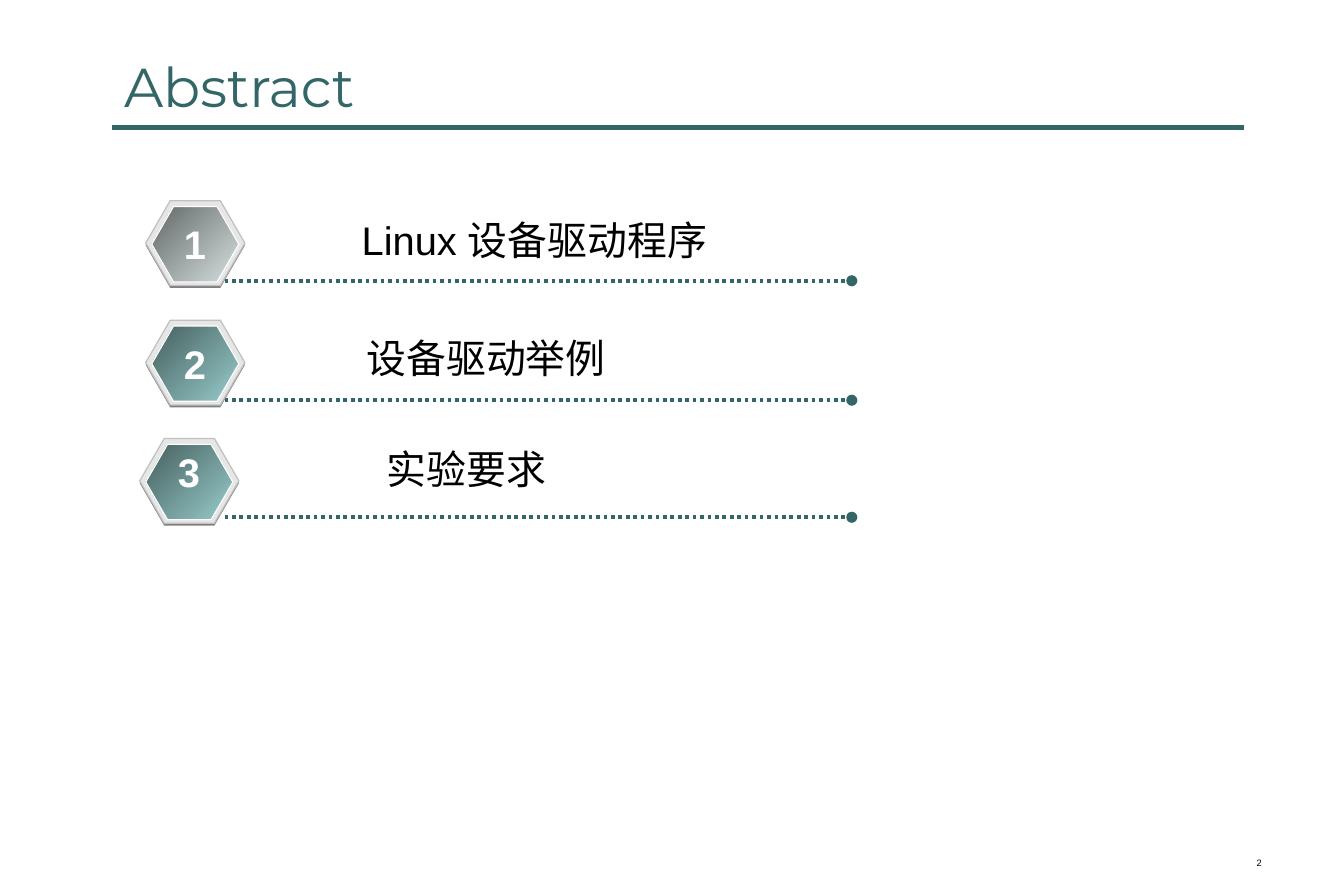
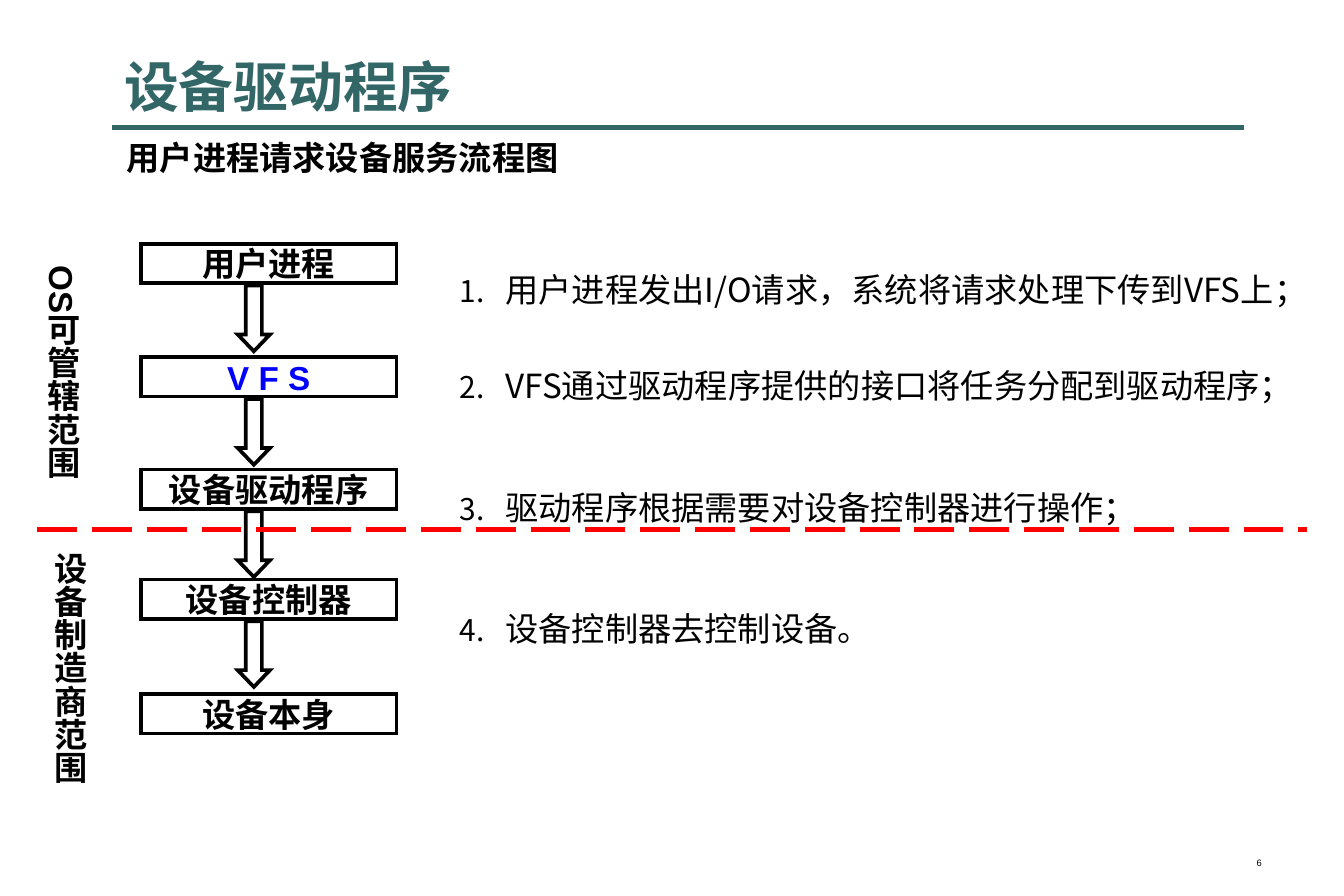
from lxml import etree
from pptx import Presentation
from pptx.dml.color import RGBColor
from pptx.enum.dml import MSO_LINE
from pptx.enum.shapes import MSO_CONNECTOR, MSO_SHAPE
from pptx.enum.text import MSO_ANCHOR, PP_ALIGN
from pptx.oxml.ns import qn
from pptx.util import Inches, Pt

HEXAGON, RECTANGLE, ARROW = MSO_SHAPE.HEXAGON, MSO_SHAPE.RECTANGLE, MSO_SHAPE.DOWN_ARROW
STRAIGHT = MSO_CONNECTOR.STRAIGHT
DOTS, DASHES = MSO_LINE.ROUND_DOT, MSO_LINE.LONG_DASH
LEFT, CENTER = PP_ALIGN.LEFT, PP_ALIGN.CENTER
TOP, MIDDLE, BOTTOM = MSO_ANCHOR.TOP, MSO_ANCHOR.MIDDLE, MSO_ANCHOR.BOTTOM

TEAL, BLACK, WHITE, BLUE, RED = "336666", "000000", "FFFFFF", "0000FF", "FF0000"
BODY_FONT, TITLE_FONT, LIST_FONT = "Arial", "Montserrat", "Noto Sans CJK SC"
WIDTH, HEIGHT = 11.25, 7.5
MARGIN, CONTENT_WIDTH = 0.94, 9.47

deck = Presentation()
deck.slide_width, deck.slide_height = Inches(WIDTH), Inches(HEIGHT)


def write(shape, text, size, color=BLACK, font=BODY_FONT, bold=False,
          align=LEFT, anchor=TOP, inset=(0, 0), wrap=True):
    """Fill a shape with one paragraph per line of text; inset is (side, top) in inches."""
    frame = shape.text_frame
    frame.text = text
    frame.word_wrap = wrap
    frame.vertical_anchor = anchor
    frame.margin_left = frame.margin_right = Inches(inset[0])
    frame.margin_top = frame.margin_bottom = Inches(inset[1])
    for para in frame.paragraphs:
        para.alignment = align
        for span in para.runs:
            span.font.name, span.font.size, span.font.bold = font, Pt(size), bold
            span.font.color.rgb = RGBColor.from_string(color)
    return frame


def draw_line(page, left, right, y, color, width, dash=None):
    line = page.shapes.add_connector(STRAIGHT, *map(Inches, (left, y, right, y)))
    line.line.color.rgb = RGBColor.from_string(color)
    line.line.width = Pt(width)
    if dash:
        line.line.dash_style = dash
    etree.SubElement(line._element.spPr, qn("a:effectLst"))
    return line


# Shared frame: rule, page number and title
pages = []
for title, number, bold in [("Abstract", "2", False), ("设备驱动程序", "6", True)]:
    page = deck.slides.add_slide(deck.slide_layouts[6])
    draw_line(page, MARGIN, MARGIN + CONTENT_WIDTH, 1.07, TEAL, 3)
    box = page.shapes.add_textbox(*map(Inches, (9.83, 7.13, 1.42, 0.21)))
    write(box, number, 5.6, align=CENTER, inset=(0.1, 0.05))
    box = page.shapes.add_textbox(*map(Inches, (MARGIN, 0.28, CONTENT_WIDTH, 0.76)))
    write(box, title, 33, TEAL, TITLE_FONT, bold, anchor=BOTTOM, inset=(0.1, 0.05))
    pages.append(page)
abstract, drivers = pages

# Abstract: numbered hexagons with dotted rules
GRAY_GRADIENT, TEAL_GRADIENT = ("D6E0E0", "636868"), ("97CDCC", "465F5E")
topics = [
    # text, text box, hexagon left, hexagon top, number top, rule, gradient
    ("Linux 设备驱动程序", (2.93, 1.76, 3.17, 0.5), 1.22, 1.68, 1.79, 2.35, GRAY_GRADIENT),
    ("设备驱动举例", (2.97, 2.74, 2.2, 0.5), 1.22, 2.68, 2.79, 3.35, TEAL_GRADIENT),
    ("实验要求", (3.14, 3.67, 1.53, 0.5), 1.17, 3.67, 3.7, 4.33, TEAL_GRADIENT),
]
for number, topic in enumerate(topics, 1):
    text, text_place, left, top, number_top, rule, gradient = topic
    line = draw_line(abstract, 1.88, 7.13, rule, TEAL, 2.25, DOTS)
    etree.SubElement(line.line._get_or_add_ln(), qn("a:tailEnd"), type="oval")
    layers = [
        (0, 0.02, 0.83, 0.71, "808080", None),
        (0, 0, 0.83, 0.71, "E6E6E6", "C0C0C0"),
        (0.05, 0.05, 0.73, 0.63, None, WHITE),
    ]
    for dx, dy, width, height, fill, outline in layers:
        hexagon = abstract.shapes.add_shape(
            HEXAGON, *map(Inches, (left + dx, top + dy, width, height)))
        hexagon.shadow.inherit = False
        hexagon.adjustments[0], hexagon.adjustments[1] = 0.289, 1.155
        if fill:
            hexagon.fill.solid()
            hexagon.fill.fore_color.rgb = RGBColor.from_string(fill)
        else:
            hexagon.fill.gradient()
            hexagon.fill.gradient_angle = 135
            for position, (stop, color) in enumerate(zip(hexagon.fill.gradient_stops, gradient)):
                stop.position = position
                stop.color.rgb = RGBColor.from_string(color)
        if outline:
            hexagon.line.color.rgb = RGBColor.from_string(outline)
            hexagon.line.width = Pt(0.75)
        else:
            hexagon.line.fill.background()
    box = abstract.shapes.add_textbox(*map(Inches, text_place))
    write(box, text, 24, inset=(0.1, 0.05), wrap=False)
    box = abstract.shapes.add_textbox(*map(Inches, (left + 0.22, number_top, 0.38, 0.5)))
    write(box, str(number), 24, WHITE, bold=True, align=CENTER, inset=(0.1, 0.05), wrap=False)

# Drivers: chain of boxes and block arrows
stages = [
    ("用户进程", 2.04, BLACK),
    ("V F S", 2.99, BLUE),
    ("设备驱动程序", 3.93, BLACK),
    ("设备控制器", 4.85, BLACK),
    ("设备本身", 5.81, BLACK),
]
outlined = []
for text, top, color in stages:
    stage = drivers.shapes.add_shape(RECTANGLE, *map(Inches, (1.18, top, 2.14, 0.33)))
    write(stage, text, 20, color, bold=True, align=CENTER, anchor=MIDDLE)
    outlined.append(stage)
for text, top, color in stages[:-1]:
    arrow = drivers.shapes.add_shape(ARROW, *map(Inches, (1.99, top + 0.35, 0.27, 0.55)))
    arrow.adjustments[0], arrow.adjustments[1] = 0.5, 0.52
    outlined.append(arrow)
for shape in outlined:
    shape.shadow.inherit = False
    shape.fill.background()
    shape.line.color.rgb = RGBColor.from_string(BLACK)
    shape.line.width = Pt(2.25)
    etree.SubElement(shape.line._get_or_add_ln(), qn("a:miter"), lim="800000")

box = drivers.shapes.add_textbox(*map(Inches, (1.06, 1.15, 4.34, 0.33)))
write(box, "用户进程请求设备服务流程图", 20, bold=True)

# Drivers: numbered steps
steps = [
    ("用户进程发出I/O请求，系统将请求处理下传到VFS上；", 0),
    ("VFS通过驱动程序提供的接口将任务分配到驱动程序；", 34.4),
    ("驱动程序根据需要对设备控制器进行操作；", 49),
    ("设备控制器去控制设备。", 49),
]
box = drivers.shapes.add_textbox(*map(Inches, (3.85, 2.25, 6.95, 3.58)))
frame = write(box, "\n".join(text for text, gap in steps), 20, font=LIST_FONT)
for para, (text, gap) in zip(frame.paragraphs, steps):
    properties = para._p.get_or_add_pPr()
    properties.set("marL", str(Inches(0.38)))
    properties.set("indent", str(-Inches(0.38)))
    bullet_color = etree.SubElement(properties, qn("a:buClr"))
    etree.SubElement(bullet_color, qn("a:srgbClr"), val=BLACK)
    etree.SubElement(properties, qn("a:buSzPct"), val="90000")
    etree.SubElement(properties, qn("a:buFont"), typeface=LIST_FONT)
    etree.SubElement(properties, qn("a:buAutoNum"), type="arabicPeriod")
    para.line_spacing = Pt(24)
    para.space_before = Pt(gap)
    for span in para.runs:
        etree.SubElement(span.font._element, qn("a:ea"), typeface=LIST_FONT)

# Drivers: border between the two scopes
draw_line(drivers, 0.31, 10.94, 4.43, RED, 3, DASHES)
for text, left, top in [("设备制造商范围", 0.42, 4.62), ("OS可管辖范围", 0.36, 2.22)]:
    box = drivers.shapes.add_textbox(*map(Inches, (left, top, 0.33, 1.97)))
    frame = write(box, text, 20, bold=True)
    frame._txBody.bodyPr.set("vert", "eaVert")

deck.save("out.pptx")
